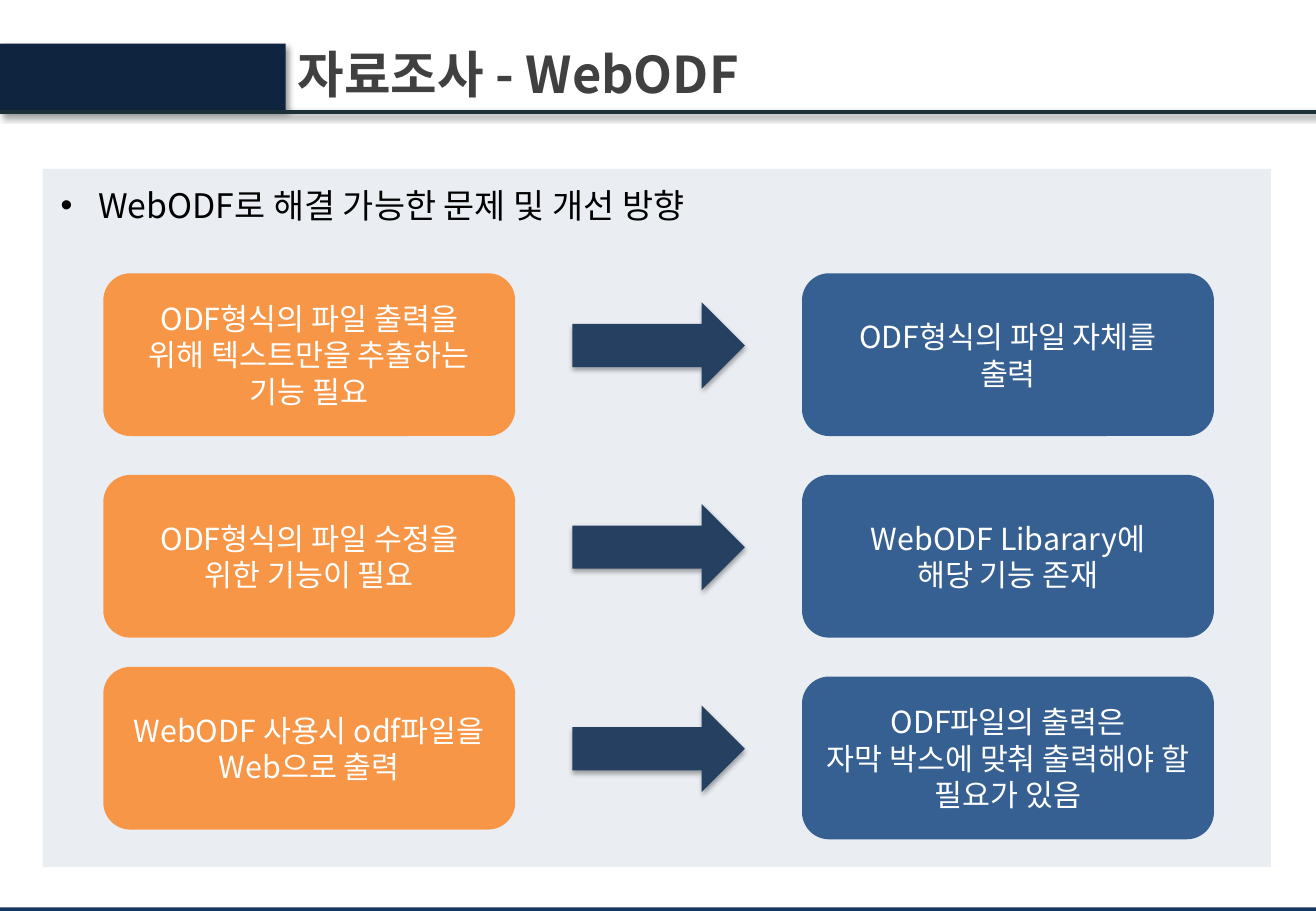
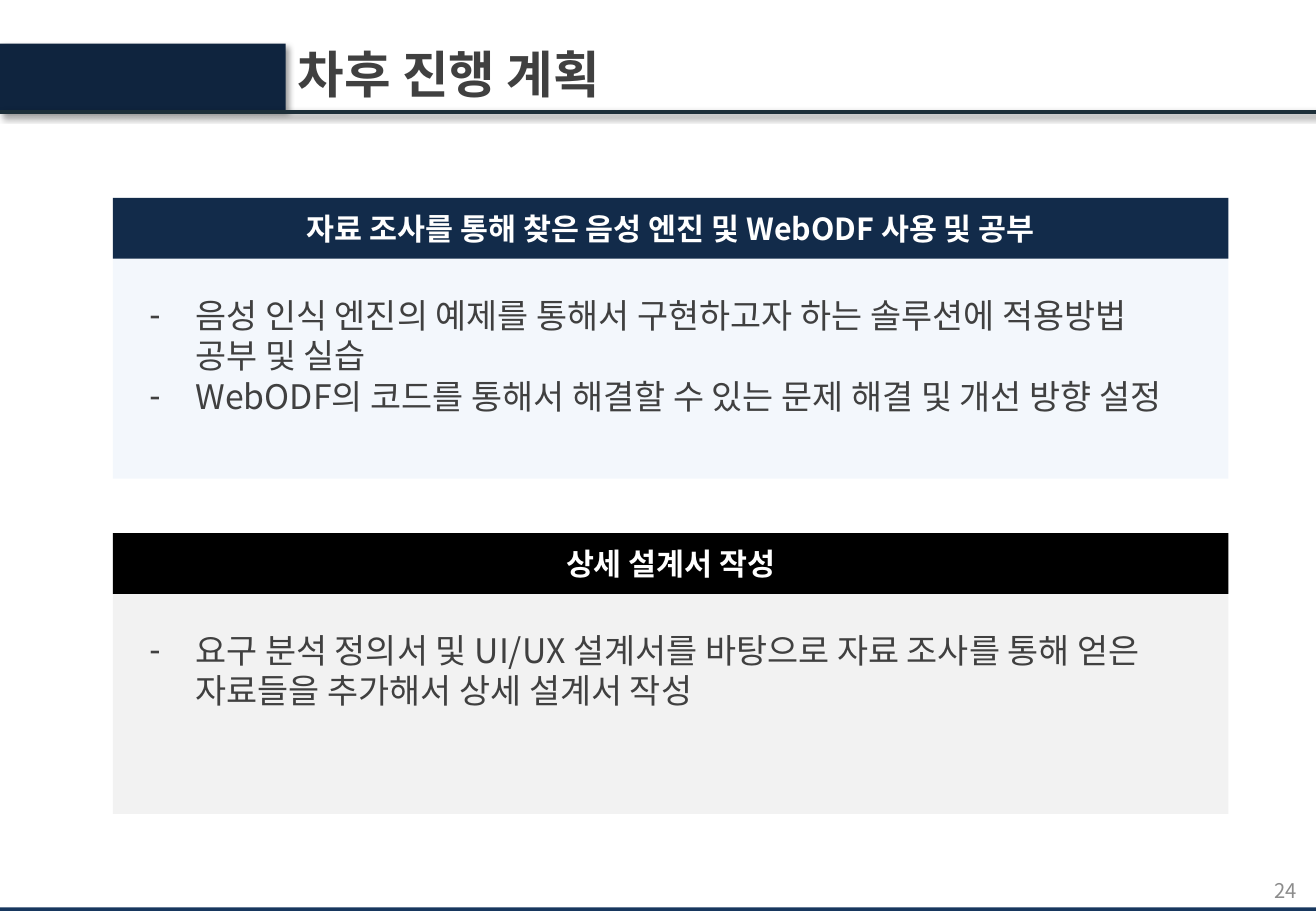
from dataclasses import dataclass
from typing import NamedTuple, Optional

import pptx
import pptx.dml.color
import pptx.enum.shapes
import pptx.enum.text
import pptx.oxml.ns
import pptx.util
from lxml import etree

SHAPE = pptx.enum.shapes.MSO_SHAPE
ALIGN = pptx.enum.text.PP_ALIGN
ANCHOR = pptx.enum.text.MSO_ANCHOR
qn = pptx.oxml.ns.qn
inch = pptx.util.Inches


@dataclass(frozen=True)
class Theme:
    font: str = "Noto Sans CJK KR"
    navy: str = "0F243E"
    rule: str = "1D2F39"
    footer: str = "17375E"
    blue: str = "376092"
    orange: str = "F79646"
    arrow: str = "254061"
    heading: str = "122B4A"
    sky: str = "8EB4E3"
    gray: str = "808080"
    dark: str = "404040"
    number: str = "8C8C8C"
    white: str = "FFFFFF"
    black: str = "000000"
    title_pt: int = 30
    body_pt: int = 20
    label_pt: int = 18
    number_pt: int = 12


class Box(NamedTuple):
    x: float
    y: float
    w: float
    h: float


class Shadow(NamedTuple):
    alpha: int
    blur: float
    dist: float
    angle: int


class Bullet(NamedTuple):
    char: str
    indent: float


class Step(NamedTuple):
    problem: str
    answer: str
    lift: float = 0


class Plan(NamedTuple):
    heading: str
    items: str
    bar_color: str
    tint: str
    text_height: float


T = Theme()
WIDTH, HEIGHT = 10.83, 7.5
RULE_Y = 0.92
TAB_WIDTH = 2.35
BAND_SHADOW = Shadow(40, 4, 3, 45)
ARROW_SHADOW = Shadow(35, 3.1, 1.8, 90)

STEPS = [
    Step("ODF형식의 파일 출력을\n위해 텍스트만을 추출하는\n기능 필요",
         "ODF형식의 파일 자체를\n출력"),
    Step("ODF형식의 파일 수정을\n위한 기능이 필요",
         "WebODF Libarary에\n해당 기능 존재"),
    Step("WebODF 사용시 odf파일을Web으로 출력",
         "ODF파일의 출력은\n자막 박스에 맞춰 출력해야 할 필요가 있음", lift=0.08),
]
PLANS = [
    Plan("자료 조사를 통해 찾은 음성 엔진 및 WebODF 사용 및 공부",
         "음성 인식 엔진의 예제를 통해서 구현하고자 하는 솔루션에 적용방법\v공부 및 실습\n"
         "WebODF의 코드를 통해서 해결할 수 있는 문제 해결 및 개선 방향 설정",
         T.heading, T.sky, 1.11),
    Plan("상세 설계서 작성",
         "요구 분석 정의서 및 UI/UX 설계서를 바탕으로 자료 조사를 통해 얻은 "
         "자료들을 추가해서 상세 설계서 작성",
         T.black, T.gray, 0.77),
]


def rgb(color: str) -> pptx.dml.color.RGBColor:
    return pptx.dml.color.RGBColor.from_string(color)


def set_shadow(sp, shadow: Optional[Shadow]) -> None:
    """Replace the theme's effects with the given shadow, or with none."""
    sp_pr = sp._element.spPr
    for old in sp_pr.findall(qn("a:effectLst")):
        sp_pr.remove(old)
    effects = etree.SubElement(sp_pr, qn("a:effectLst"))
    if shadow:
        outer = etree.SubElement(
            effects, qn("a:outerShdw"), blurRad=str(pptx.util.Pt(shadow.blur)),
            dist=str(pptx.util.Pt(shadow.dist)), dir=str(shadow.angle * 60000),
            algn="tl", rotWithShape="0")
        color = etree.SubElement(outer, qn("a:srgbClr"), val=T.black)
        etree.SubElement(color, qn("a:alpha"), val=str(shadow.alpha * 1000))


def add_bullet(p, bullet: Bullet) -> None:
    p_pr = p._p.get_or_add_pPr()
    p_pr.set("marL", str(inch(bullet.indent)))
    p_pr.set("indent", str(-inch(bullet.indent)))
    etree.SubElement(p_pr, qn("a:buFont"), typeface="Arial")
    etree.SubElement(p_pr, qn("a:buChar"), char=bullet.char)


def write(sp, text: str, size: int, color: str, align=ALIGN.LEFT, bold: bool = False,
          anchor=ANCHOR.MIDDLE, bullet: Optional[Bullet] = None) -> None:
    tf = sp.text_frame
    tf.text = text
    tf.word_wrap = True
    tf.auto_size = pptx.enum.text.MSO_AUTO_SIZE.NONE
    tf.vertical_anchor = anchor
    for p in tf.paragraphs:
        p.alignment = align
        if bullet:
            add_bullet(p, bullet)
        for r in p.runs:
            r.font.name = T.font
            r.font.size = pptx.util.Pt(size)
            r.font.bold = bold
            r.font.color.rgb = rgb(color)
            etree.SubElement(r._r.get_or_add_rPr(), qn("a:ea"), typeface=T.font)


def add_shape(s, kind, box: Box, color: str, alpha: int = 100,
              shadow: Optional[Shadow] = None):
    sp = s.shapes.add_shape(kind, *map(inch, box))
    sp.fill.solid()
    sp.fill.fore_color.rgb = rgb(color)
    if alpha < 100:
        fill = sp._element.spPr.find(qn("a:solidFill"))
        etree.SubElement(fill[0], qn("a:alpha"), val=str(alpha * 1000))
    sp.line.fill.background()
    set_shadow(sp, shadow)
    return sp


def add_text(s, box: Box, text: str, size: int, color: str, **style) -> None:
    write(s.shapes.add_textbox(*map(inch, box)), text, size, color, **style)


def add_titled_slide(prs, title: str):
    """Add a slide with the title, header band, rule and footer band."""
    s = prs.slides.add_slide(prs.slide_layouts[5])
    add_shape(s, SHAPE.RECTANGLE, Box(0, HEIGHT - 0.03, WIDTH, 0.03), T.footer)
    add_shape(s, SHAPE.RECTANGLE, Box(0, 0.36, TAB_WIDTH, 0.55), T.navy,
              shadow=BAND_SHADOW)
    rule = s.shapes.add_connector(pptx.enum.shapes.MSO_CONNECTOR.STRAIGHT, 0,
                                  inch(RULE_Y), inch(WIDTH), inch(RULE_Y))
    rule.line.color.rgb = rgb(T.rule)
    rule.line.width = pptx.util.Pt(2.25)
    set_shadow(rule, BAND_SHADOW)
    sp = s.shapes.title
    sp.left, sp.top, sp.width, sp.height = map(
        inch, Box(TAB_WIDTH, 0.3, WIDTH - TAB_WIDTH - 0.05, 0.61))
    write(sp, title, T.title_pt, T.dark, bold=True)
    return s


def build_improvements(prs) -> None:
    s = add_titled_slide(prs, "자료조사 - WebODF")
    add_shape(s, SHAPE.RECTANGLE, Box(0.35, 1.39, 10.11, 5.75), T.blue, alpha=10)
    add_text(s, Box(0.4, 1.47, 9.9, 0.5), "WebODF로 해결 가능한 문제 및 개선 방향",
             T.body_pt, T.black, anchor=ANCHOR.TOP, bullet=Bullet("•", 0.31))
    top, pitch, card_w, card_h = 2.25, 1.66, 3.39, 1.34
    for row, step in enumerate(STEPS):
        y = top + row * pitch
        cards = [(0.85, y - step.lift, T.orange, step.problem),
                 (6.6, y, T.blue, step.answer)]
        for x, card_y, color, text in cards:
            sp = add_shape(s, SHAPE.ROUNDED_RECTANGLE,
                           Box(x, card_y, card_w, card_h), color)
            write(sp, text, T.label_pt, T.white, align=ALIGN.CENTER)
        add_shape(s, SHAPE.RIGHT_ARROW, Box(4.71, y + 0.24, 1.42, 0.71), T.arrow,
                  shadow=ARROW_SHADOW)


def build_plans(prs) -> None:
    s = add_titled_slide(prs, "차후 진행 계획")
    left, top, width, pitch = 0.93, 1.63, 9.18, 2.76
    for row, plan in enumerate(PLANS):
        y = top + row * pitch
        add_shape(s, SHAPE.RECTANGLE, Box(left, y, width, 2.31), plan.tint, alpha=10)
        bar = add_shape(s, SHAPE.RECTANGLE, Box(left, y, width, 0.5), plan.bar_color)
        write(bar, plan.heading, T.label_pt, T.white, align=ALIGN.CENTER, bold=True)
        add_text(s, Box(1.13, y + 0.74, 8.85, plan.text_height), plan.items,
                 T.body_pt, T.dark, bullet=Bullet("-", 0.38))
    add_text(s, Box(8.24, 7.13, 2.53, 0.4), "24", T.number_pt, T.number,
             align=ALIGN.RIGHT)


def main() -> None:
    prs = pptx.Presentation()
    prs.slide_width, prs.slide_height = inch(WIDTH), inch(HEIGHT)
    build_improvements(prs)
    build_plans(prs)
    prs.save("out.pptx")


if __name__ == "__main__":
    main()
